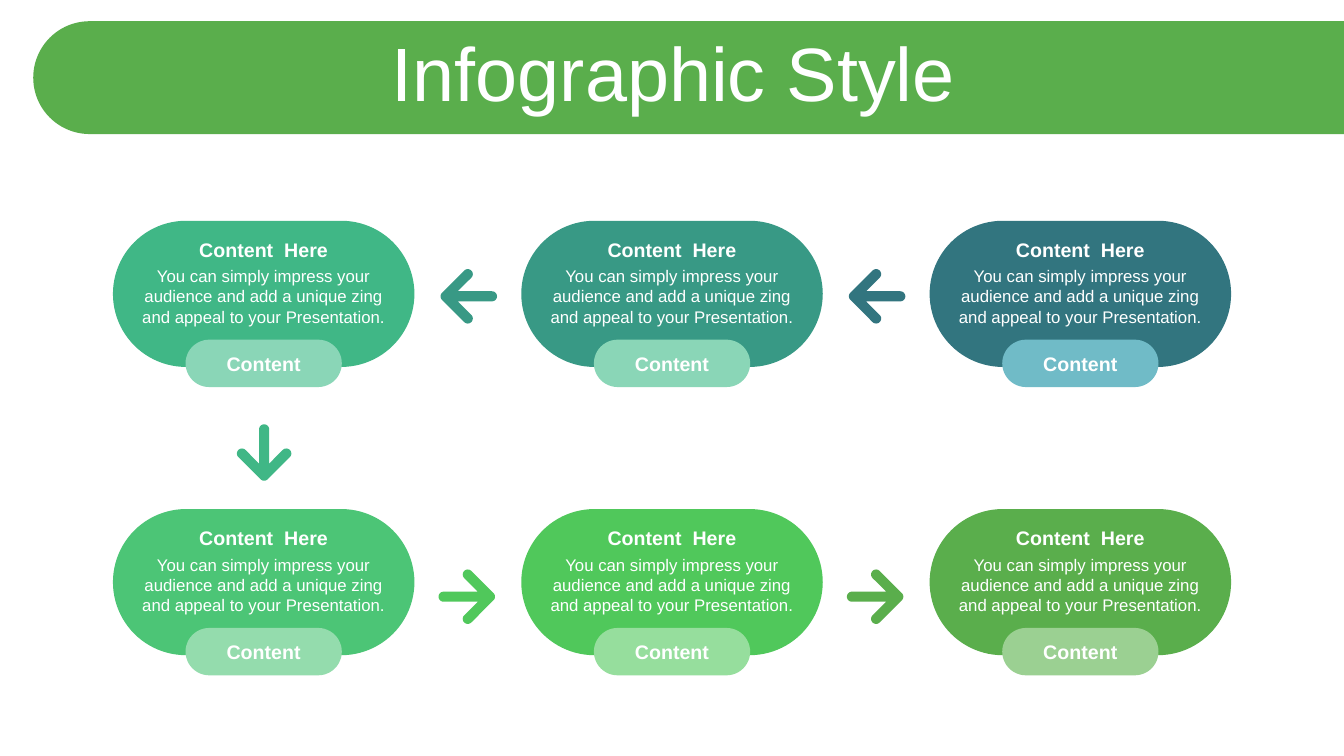
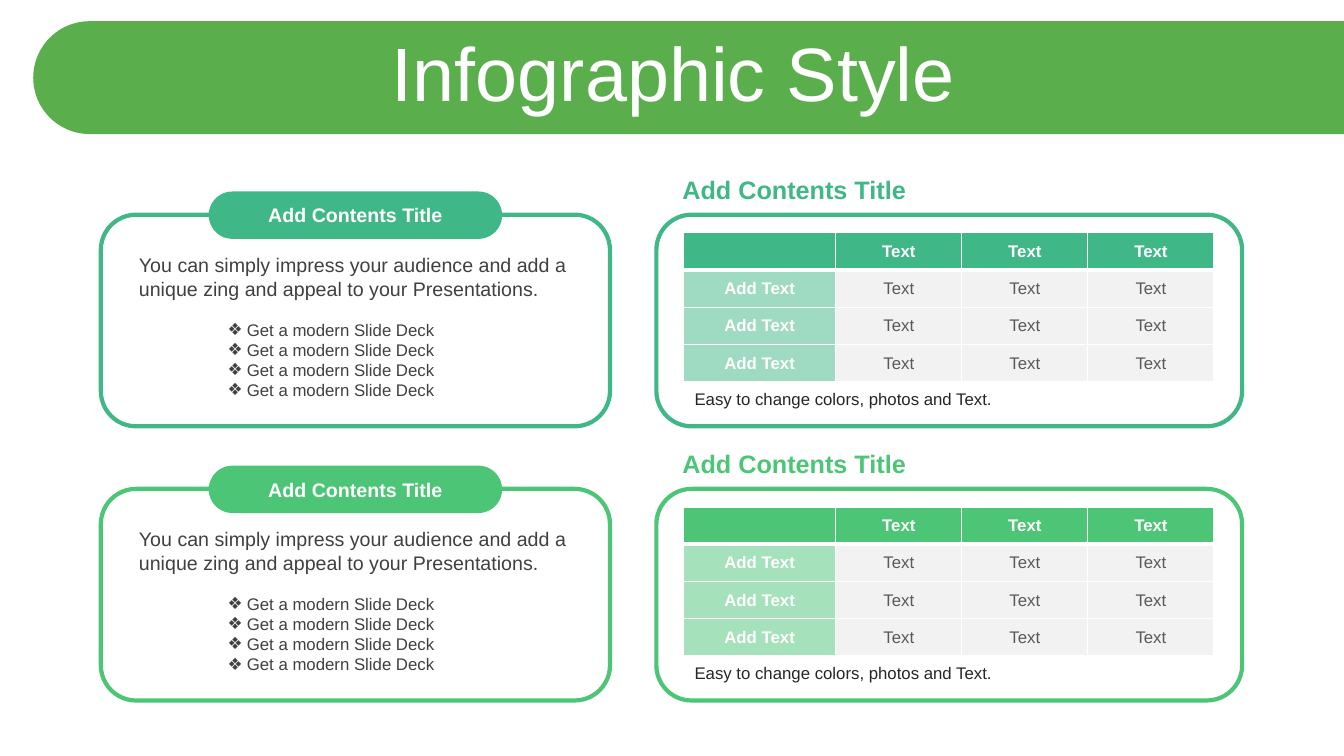
from math import cos, radians, sin

from lxml import etree
from pptx import Presentation
from pptx.dml.color import RGBColor
from pptx.enum.shapes import MSO_SHAPE as SHAPE
from pptx.enum.text import MSO_ANCHOR as ANCHOR, MSO_AUTO_SIZE as AUTO, PP_ALIGN as ALIGN
from pptx.oxml.ns import qn
from pptx.util import Emu, Inches, Pt

COLORS = {
    "white": "FFFFFF", "leaf": "5AAE4C", "leaf_light": "9BD092",
    "mint": "40B786", "mint_light": "8AD6B7",
    "teal": "389985", "navy": "32757F", "navy_light": "70BBC7",
    "lime": "50C85B", "lime_light": "96DE9D",
    "emerald": "4CC576", "emerald_light": "94DCAD",
    "cell": "F2F2F2", "cell_text": "595959", "text": "404040", "note": "262626",
}
FONT = "Arial"
TITLE = "Infographic Style"
PILL_TEXT = ("You can simply impress your audience and add a unique zing "
             "and appeal to your Presentation.")
PANEL_TEXT = ("You can simply impress your audience and add a unique zing "
              "and appeal to your Presentations.")
BULLETS = ["Get a modern Slide Deck"] * 4
TABLE_ROWS = [["", "Text", "Text", "Text"]] + [["Add Text", "Text", "Text", "Text"]] * 3


def rgb(name):
    return RGBColor.from_string(COLORS[name])


def arc(x, y, start, end, radius=0.05, steps=12):
    """Points on a circle around (x, y), angles in degrees, clockwise."""
    angles = [radians(start + (end - start) * i / steps) for i in range(steps + 1)]
    return [(x + radius * cos(a), y + radius * sin(a)) for a in angles]


class Deck:
    def __init__(self):
        self.prs = Presentation()
        self.prs.slide_width, self.prs.slide_height = Inches(13.33), Inches(7.5)
        self.layout = self.prs.slide_layouts.get_by_name("Title Only")
        self.slide = None
        self.has_band = False

    def new_slide(self, title):
        self.slide = self.prs.slides.add_slide(self.layout)
        if not self.has_band:
            self.add_layout_band()
        sp = self.slide.shapes.title
        sp.left, sp.top, sp.width, sp.height = map(Inches, (0.35, 0.37, 12.66, 0.79))
        sp.text_frame.auto_size = AUTO.NONE
        self.put_text(sp, [title], 54, "white", align=ALIGN.CENTER, anchor=ANCHOR.MIDDLE)
        sp.text_frame.paragraphs[0].line_spacing = 0.9

    def add_layout_band(self):
        """Put the title band on the layout, behind its placeholders."""
        sp = self.shape(6.27, -5.73, 1.12, 13, "leaf",
                        kind=SHAPE.ROUND_2_SAME_RECTANGLE, adj=0.5)
        sp.rotation = 270
        self.layout.shapes._spTree.insert(2, sp._element)
        self.has_band = True

    def put_text(self, target, lines, size, color, bold=False, align=ALIGN.LEFT,
                 anchor=ANCHOR.TOP, bullet=None):
        tf = target.text_frame
        tf.word_wrap = True
        tf.vertical_anchor = anchor
        tf.text = "\n".join(lines)
        for p in tf.paragraphs:
            p.alignment = align
            if bullet:
                pPr = p._p.get_or_add_pPr()
                pPr.set("marL", str(Inches(0.19)))
                pPr.set("indent", str(-Inches(0.19)))
                etree.SubElement(pPr, qn("a:buFont"), typeface=FONT)
                etree.SubElement(pPr, qn("a:buChar"), char=bullet)
            for r in p.runs:
                r.font.name, r.font.size, r.font.bold = FONT, Pt(size), bold
                r.font.color.rgb = rgb(color)

    def text(self, x, y, w, h, lines, size, color, **style):
        sp = self.slide.shapes.add_textbox(*map(Inches, (x, y, w, h)))
        self.put_text(sp, lines, size, color, **style)

    def shape(self, x, y, w, h, fill, line=None, kind=SHAPE.ROUNDED_RECTANGLE, adj=None):
        sp = self.slide.shapes.add_shape(kind, *map(Inches, (x, y, w, h)))
        if adj is not None:
            sp.adjustments[0] = adj
        self.paint(sp, fill, line)
        return sp

    def paint(self, sp, fill, line=None):
        sp.shadow.inherit = False
        sp.fill.solid()
        sp.fill.fore_color.rgb = rgb(fill)
        if line:
            sp.line.color.rgb = rgb(line)
            sp.line.width = Pt(3)
        else:
            sp.line.fill.background()

    def badge(self, x, y, w, label, fill):
        sp = self.shape(x, y, w, 0.47, fill, adj=0.5)
        self.put_text(sp, [label], 14, "white", bold=True,
                      align=ALIGN.CENTER, anchor=ANCHOR.MIDDLE)

    def pill(self, x, y, fill, badge_fill):
        self.shape(x, y, 2.99, 1.45, fill, adj=0.5)
        self.badge(x + 0.72, y + 1.18, 1.55, "Content", badge_fill)
        self.text(x + 0.16, y + 0.4, 2.67, 0.71, [PILL_TEXT], 12, "white", align=ALIGN.CENTER)
        self.text(x + 0.14, y + 0.12, 2.71, 0.34, ["Content  Here"], 14, "white",
                  bold=True, align=ALIGN.CENTER)

    def arrow(self, x, y, angle, fill):
        """Round-ended arrow centred on (x, y); angle 0 points right, 90 down."""
        outline = (arc(0.22, 0, -45, 45) + arc(0, 0.22, 45, 225) + [(0.1, 0.05)]
                   + arc(-0.24, 0, 90, 270) + [(0.1, -0.05)] + arc(0, -0.22, 135, 315))
        c, s = cos(radians(angle)), sin(radians(angle))
        points = [(Inches(x + c * px - s * py), Inches(y + s * px + c * py))
                  for px, py in outline]
        builder = self.slide.shapes.build_freeform(*points[0])
        builder.add_line_segments(points[1:], close=True)
        self.paint(builder.convert_to_shape(), fill)

    def cell_borders(self, cell, bottom):
        tcPr = cell._tc.get_or_add_tcPr()
        for side, width in (("L", 1), ("R", 1), ("T", 1), ("B", bottom)):
            ln = etree.SubElement(tcPr, qn("a:ln" + side), w=str(Pt(width)))
            solid = etree.SubElement(ln, qn("a:solidFill"))
            etree.SubElement(solid, qn("a:srgbClr"), val=COLORS["white"])

    def table(self, x, y, rows, color):
        widths, row_height = (1.51, 1.25, 1.25, 1.25), 0.37
        frame = self.slide.shapes.add_table(
            len(rows), len(widths), Inches(x), Inches(y),
            Inches(sum(widths)), Inches(row_height * len(rows)))
        table = frame.table
        table.horz_banding = False
        for column, width in zip(table.columns, widths):
            column.width = Inches(width)
        for i, row in enumerate(rows):
            table.rows[i].height = Inches(row_height)
            for j, label in enumerate(row):
                cell = table.cell(i, j)
                header = i == 0 or j == 0
                cell.margin_top = cell.margin_bottom = Emu(0)
                cell.vertical_anchor = ANCHOR.MIDDLE
                self.put_text(cell, [label], 12, "white" if header else "cell_text",
                              bold=header, align=ALIGN.CENTER, anchor=ANCHOR.MIDDLE)
                self.cell_borders(cell, bottom=3 if i == 0 else 1)
                cell.fill.solid()
                cell.fill.fore_color.rgb = rgb(color if header else "cell")
                if j == 0 and i > 0:
                    clr = cell._tc.tcPr.find(qn("a:solidFill")).find(qn("a:srgbClr"))
                    etree.SubElement(clr, qn("a:alpha"), val="50000")

    def list_panel(self, y, color):
        self.shape(1, y, 5.05, 2.1, "white", line=color)
        self.badge(2.07, y - 0.23, 2.91, "Add Contents Title", color)
        self.text(1.28, y + 0.33, 4.5, 0.57, [PANEL_TEXT], 14, "text")
        self.text(2.16, y + 0.99, 2.75, 0.91, BULLETS, 12, "text", bullet="❖")

    def table_panel(self, y, color):
        self.text(6.67, y - 0.45, 2.75, 0.4, ["Add Contents Title"], 18, color, bold=True)
        self.shape(6.51, y, 5.81, 2.1, "white", line=color)
        self.table(6.78, y + 0.18, TABLE_ROWS, color)
        self.text(6.79, y + 1.68, 4.23, 0.3, ["Easy to change colors, photos and Text."],
                  12, "note")


def process_slide(deck):
    deck.new_slide(TITLE)
    rows = (
        (2.19, (("mint", "mint_light"), ("teal", "mint_light"), ("navy", "navy_light"))),
        (5.05, (("emerald", "emerald_light"), ("lime", "lime_light"), ("leaf", "leaf_light"))),
    )
    pitch = 4.05
    for y, fills in rows:
        for i, (fill, badge_fill) in enumerate(fills):
            deck.pill(1.12 + i * pitch, y, fill, badge_fill)
    for y, angle, fills in ((2.94, 180, ("teal", "navy")), (5.92, 0, ("lime", "leaf"))):
        for i, fill in enumerate(fills):
            deck.arrow(4.64 + i * pitch, y, angle, fill)
    deck.arrow(2.62, 4.5, 90, "mint")


def panels_slide(deck):
    deck.new_slide(TITLE)
    for y, color in ((2.13, "mint"), (4.85, "emerald")):
        deck.list_panel(y, color)
        deck.table_panel(y, color)


def main():
    deck = Deck()
    process_slide(deck)
    panels_slide(deck)
    deck.prs.save("out.pptx")


if __name__ == "__main__":
    main()
